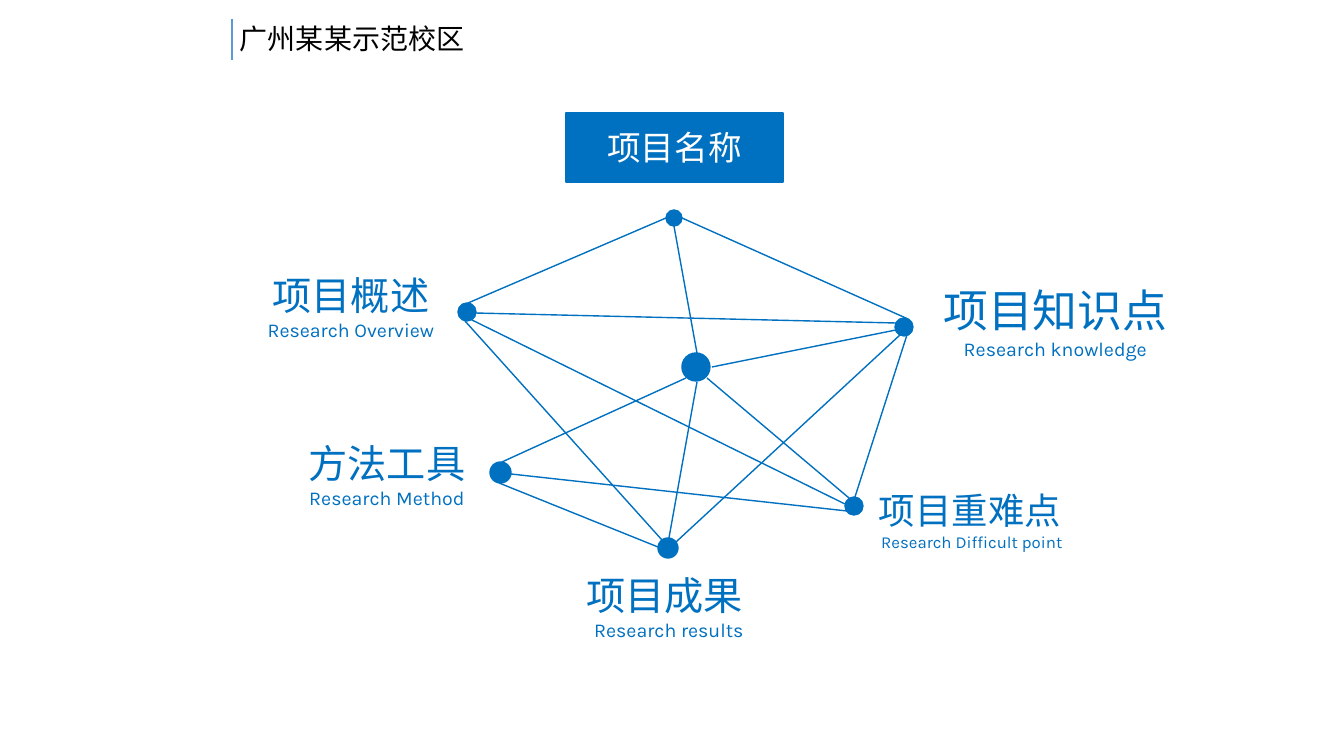
import dataclasses

import lxml.etree
import pptx
import pptx.dml.color
import pptx.enum.shapes
import pptx.enum.text
import pptx.oxml.ns
import pptx.util

SHAPE = pptx.enum.shapes.MSO_SHAPE
ALIGN = pptx.enum.text.PP_ALIGN
SCALE = 914400 / 100.8


@dataclasses.dataclass(frozen=True)
class Theme:
    """Colours, fonts and type sizes of the slide."""
    blue: str = "0070C0"
    sky: str = "5B9BD5"
    white: str = "FFFFFF"
    black: str = "000000"
    font: str = "Karla"
    head_font: str = "Noto Sans CJK KR"
    head: int = 20
    name: int = 24
    label: int = 28
    sub: int = 14


def emu(*pixels):
    """Turn pixels into EMU."""
    return [pptx.util.Emu(round(p * SCALE)) for p in pixels]


def tint(color):
    """Turn a hex string into a colour."""
    return pptx.dml.color.RGBColor.from_string(color)


def write(para, text, *, size, color, font):
    """Add a formatted run to a paragraph."""
    run = para.add_run()
    run.text = text
    run.font.size = pptx.util.Pt(size)
    run.font.color.rgb = tint(color)
    run.font.name = font
    east = lxml.etree.SubElement(run.font._element, pptx.oxml.ns.qn("a:ea"))
    east.set("typeface", font)


class Deck:
    """Holds the theme and the current slide."""

    def __init__(self, theme):
        """Start a deck with one blank slide."""
        self.theme = theme
        self.file = pptx.Presentation()
        self.file.slide_width, self.file.slide_height = emu(1344, 756)
        slide = self.file.slides.add_slide(self.file.slide_layouts[6])
        self.shapes = slide.shapes

    def shape(self, kind, *box):
        """Add a blue preset shape."""
        item = self.shapes.add_shape(kind, *emu(*box))
        item.shadow.inherit = False
        item.fill.solid()
        item.fill.fore_color.rgb = tint(self.theme.blue)
        item.line.color.rgb = tint(self.theme.blue)
        item.line.width = pptx.util.Pt(1)
        return item

    def line(self, *ends, color=None, width=1):
        """Add a straight line between two points."""
        item = self.shapes.add_connector(
            pptx.enum.shapes.MSO_CONNECTOR.STRAIGHT, *emu(*ends))
        item.line.color.rgb = tint(color or self.theme.blue)
        item.line.width = pptx.util.Pt(width)
        lxml.etree.SubElement(item._element.spPr,
                              pptx.oxml.ns.qn("a:effectLst"))

    def text(self, *box):
        """Add a wrapping text box and return its frame."""
        frame = self.shapes.add_textbox(*emu(*box)).text_frame
        frame.word_wrap = True
        frame.auto_size = pptx.enum.text.MSO_AUTO_SIZE.SHAPE_TO_FIT_TEXT
        return frame

    def label(self, box, title, sub, size, small, joined=False):
        """Add a centred title with its subtitle on the next line."""
        look = dict(color=self.theme.blue, font=self.theme.font)
        frame = self.text(*box)
        para = frame.paragraphs[0]
        para.alignment = ALIGN.CENTER
        write(para, title, size=size, **look)
        if joined:
            para.add_line_break()
        else:
            para = frame.add_paragraph()
            para.alignment = ALIGN.CENTER
        write(para, sub, size=small, **look)

    def banner(self, box, text):
        """Add the filled box with the project name."""
        frame = self.shape(SHAPE.RECTANGLE, *box).text_frame
        frame.vertical_anchor = pptx.enum.text.MSO_ANCHOR.MIDDLE
        para = frame.paragraphs[0]
        para.alignment = ALIGN.CENTER
        write(para, text, size=self.theme.name, color=self.theme.white,
              font=self.theme.font)

    def header(self, box, text):
        """Add the page heading and the bar beside it."""
        write(self.text(*box).paragraphs[0], text, size=self.theme.head,
              color=self.theme.black, font=self.theme.head_font)
        self.line(232, 19, 232, 60, color=self.theme.sky, width=1.5)


# Left, top and diameter of each node
NODES = [
    (666, 210, 16), (682, 353, 28), (895, 318, 18), (490, 462, 21),
    (458, 303, 18), (658, 538, 20), (845, 497, 18),
]

# Start and end point of each link
LINKS = [
    (666, 218, 468, 303), (682, 218, 908, 319), (674, 226, 697, 353),
    (465, 321, 662, 540), (845, 504, 472, 320), (896, 323, 475, 313),
    (676, 542, 900, 335), (697, 382, 669, 538), (707, 378, 849, 498),
    (896, 330, 712, 367), (907, 335, 855, 497), (686, 378, 502, 462),
    (499, 483, 658, 547), (847, 511, 511, 474),
]


def main():
    """Build the slide and save it."""
    theme = Theme()
    deck = Deck(theme)
    for ends in LINKS:
        deck.line(*ends)
    for left, top, size in NODES:
        deck.shape(SHAPE.OVAL, left, top, size, size)

    deck.banner((566, 113, 217, 69), "项目名称")
    big, sub = theme.label, theme.sub
    deck.label((233, 266, 236, 82), "项目概述", "Research Overview", big, sub)
    deck.label((269, 434, 236, 82), "方法工具", "Research Method", big, sub)
    deck.label((551, 566, 236, 82), "项目成果 ", "Research results", big, sub,
               joined=True)
    deck.label((859, 483, 222, 75), "项目重难点", " Research Difficult point",
               big - 2, sub - 2)
    deck.label((916, 278, 279, 88), "项目知识点", "Research knowledge",
               big + 4, sub)
    deck.header((230, 17, 246, 44), "广州某某示范校区")
    deck.file.save("out.pptx")


main()
